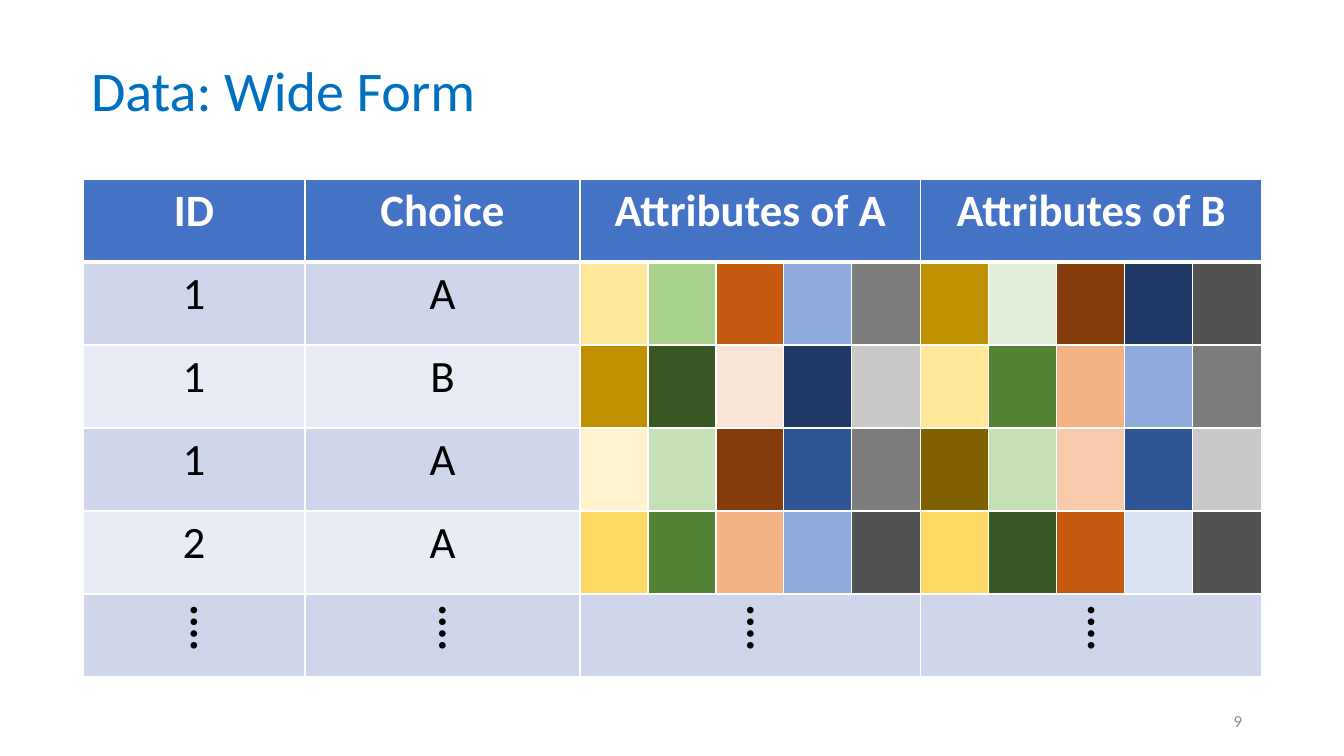
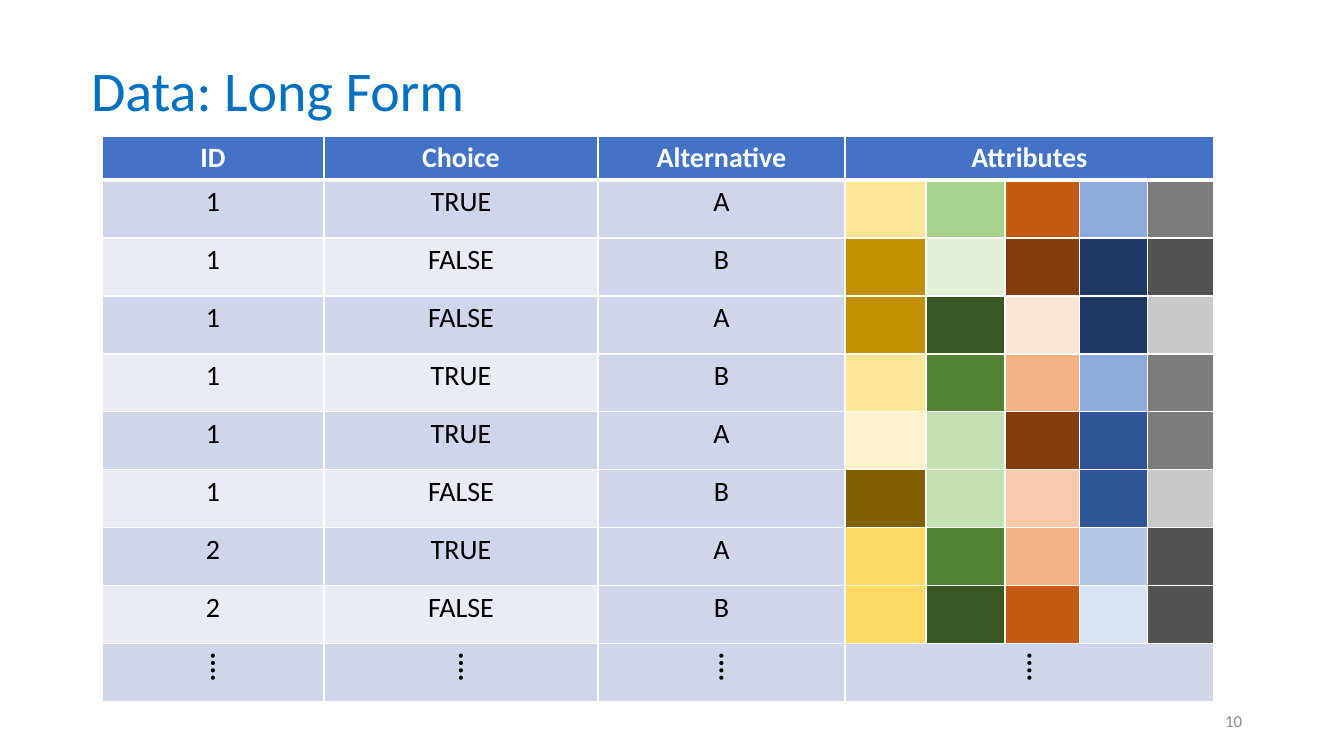
from dataclasses import dataclass

from lxml.etree import SubElement
from pptx import Presentation
from pptx.dml.color import RGBColor
from pptx.enum.text import MSO_ANCHOR as Anchor, MSO_AUTO_SIZE as AutoSize, PP_ALIGN as Align
from pptx.oxml.ns import qn
from pptx.util import Emu, Pt


@dataclass(frozen=True)
class Theme:
    font: str = "Calibri"
    title: str = "0070C0"
    number: str = "8C8C8C"
    header: str = "4472C4"
    bands: tuple = ("CFD5EA", "E9EBF5")
    white: str = "FFFFFF"
    black: str = "000000"
    title_size: int = 40
    number_size: int = 12
    # One ramp per attribute, from the lightest level to the darkest.
    attributes: tuple = (
        ("FFF2CC", "FFE699", "FFD966", "BF9000", "806000"),
        ("E2F0D9", "C5E0B4", "A9D18E", "548235", "385723"),
        ("FBE5D6", "F8CBAD", "F4B183", "C55A11", "843C0B"),
        ("DAE3F3", "B4C7E7", "8FAADC", "2F5597", "203864"),
        ("C9C9C9", "7C7C7C", "525252"),
    )


THEME = Theme()
PX = 914400 / 100.8
DOTS = "⁞"


def write(frame, text, *, size, color, bold=False, align=Align.CENTER, spacing=None):
    paragraph = frame.paragraphs[0]
    paragraph.alignment = align
    paragraph.line_spacing = spacing
    run = paragraph.add_run()
    run.text = text
    run.font.name = THEME.font
    run.font.size = Pt(size)
    run.font.bold = bold
    run.font.color.rgb = RGBColor.from_string(color)


def paint_cell(cell, color, top=1, bottom=1):
    """Draw white borders, with top and bottom widths in points, then the fill."""
    properties = cell._tc.get_or_add_tcPr()
    for side, width in (("L", 1), ("R", 1), ("T", top), ("B", bottom)):
        line = SubElement(properties, qn(f"a:ln{side}"), w=str(Pt(width)))
        SubElement(SubElement(line, qn("a:solidFill")), qn("a:srgbClr"), val=THEME.white)
    cell.fill.solid()
    cell.fill.fore_color.rgb = RGBColor.from_string(color)


# Each row holds its key texts and the level of every attribute, as digits.
wide_rows = [
    (("1", "A"), "23432" "41553"),
    (("1", "B"), "45151" "24332"),
    (("1", "A"), "12542" "52241"),
    (("2", "A"), "34333" "35413"),
]
long_rows = [
    (("1", "TRUE", "A"), "23432"),
    (("1", "FALSE", "B"), "41553"),
    (("1", "FALSE", "A"), "45151"),
    (("1", "TRUE", "B"), "24332"),
    (("1", "TRUE", "A"), "12542"),
    (("1", "FALSE", "B"), "52241"),
    (("2", "TRUE", "A"), "34323"),
    (("2", "FALSE", "B"), "35413"),
]
data_forms = [
    dict(title="Data: Wide Form", number=9, left=83, top=179, size=32,
         keys=("ID", "Choice"), groups=("Attributes of A", "Attributes of B"),
         widths=[222, 275] + [68, 68, 68, 68, 69] * 2,
         header_height=83, row_height=83, rows=wide_rows),
    dict(title="Data: Long Form", number=10, left=102, top=136, size=20,
         keys=("ID", "Choice", "Alternative"), groups=("Attributes",),
         widths=[222, 274, 247, 81, 79, 75, 68, 66],
         header_height=44, row_height=58, rows=long_rows),
]

prs = Presentation()
prs.slide_width, prs.slide_height = Emu(round(1344 * PX)), Emu(round(756 * PX))
title_only = prs.slide_layouts[5]
attribute_count = len(THEME.attributes)

for form in data_forms:
    slide = prs.slides.add_slide(title_only)
    title = slide.shapes.title
    title.left, title.top, title.width, title.height = (
        Emu(round(n * PX)) for n in (81, 30, 1153, 126))
    title.text_frame.auto_size = AutoSize.NONE
    title.text_frame.vertical_anchor = Anchor.MIDDLE
    write(title.text_frame, form["title"], size=THEME.title_size, color=THEME.title,
          align=Align.LEFT, spacing=0.9)

    page_number = slide.shapes.add_textbox(
        *(Emu(round(n * PX)) for n in (950, 701, 302, 40))).text_frame
    page_number.word_wrap = True
    page_number.vertical_anchor = Anchor.MIDDLE
    write(page_number, str(form["number"]), size=THEME.number_size,
          color=THEME.number, align=Align.RIGHT)

    keys, groups, widths = form["keys"], form["groups"], form["widths"]
    heights = [form["header_height"]] + [form["row_height"]] * (len(form["rows"]) + 1)
    last = len(heights) - 1
    bounds = (form["left"], form["top"], sum(widths), sum(heights))
    table = slide.shapes.add_table(
        len(heights), len(widths), *(Emu(round(n * PX)) for n in bounds)).table
    table.horz_banding = False
    for column, width in zip(table.columns, widths):
        column.width = Emu(round(width * PX))
    for row, height in zip(table.rows, heights):
        row.height = Emu(round(height * PX))

    # The header and the closing dots span each group of attributes.
    group_starts = range(len(keys), len(widths), attribute_count)
    for r in (0, last):
        for start in group_starts:
            table.cell(r, start).merge(table.cell(r, start + attribute_count - 1))
    heading_columns = [*range(len(keys)), *group_starts]

    for r in range(len(heights)):
        is_header, is_dots = r == 0, r == last
        levels = ""
        if is_header:
            texts = keys + groups
        elif is_dots:
            texts = [DOTS] * len(heading_columns)
        else:
            texts, levels = form["rows"][r - 1]

        for c in range(len(widths)):
            if is_header:
                color = THEME.header
            elif levels and c >= len(keys):
                attribute = c - len(keys)
                ramp = THEME.attributes[attribute % attribute_count]
                color = ramp[int(levels[attribute]) - 1]
            else:
                color = THEME.bands[(r - 1) % 2 if c < 2 else 0]
            paint_cell(table.cell(r, c), color,
                       top=3 if r == 1 else 1, bottom=3 if is_header else 1)

        for c, text in zip(heading_columns, texts):
            write(table.cell(r, c).text_frame, text, size=form["size"],
                  color=THEME.white if is_header else THEME.black,
                  bold=is_header or is_dots)

prs.save("out.pptx")
